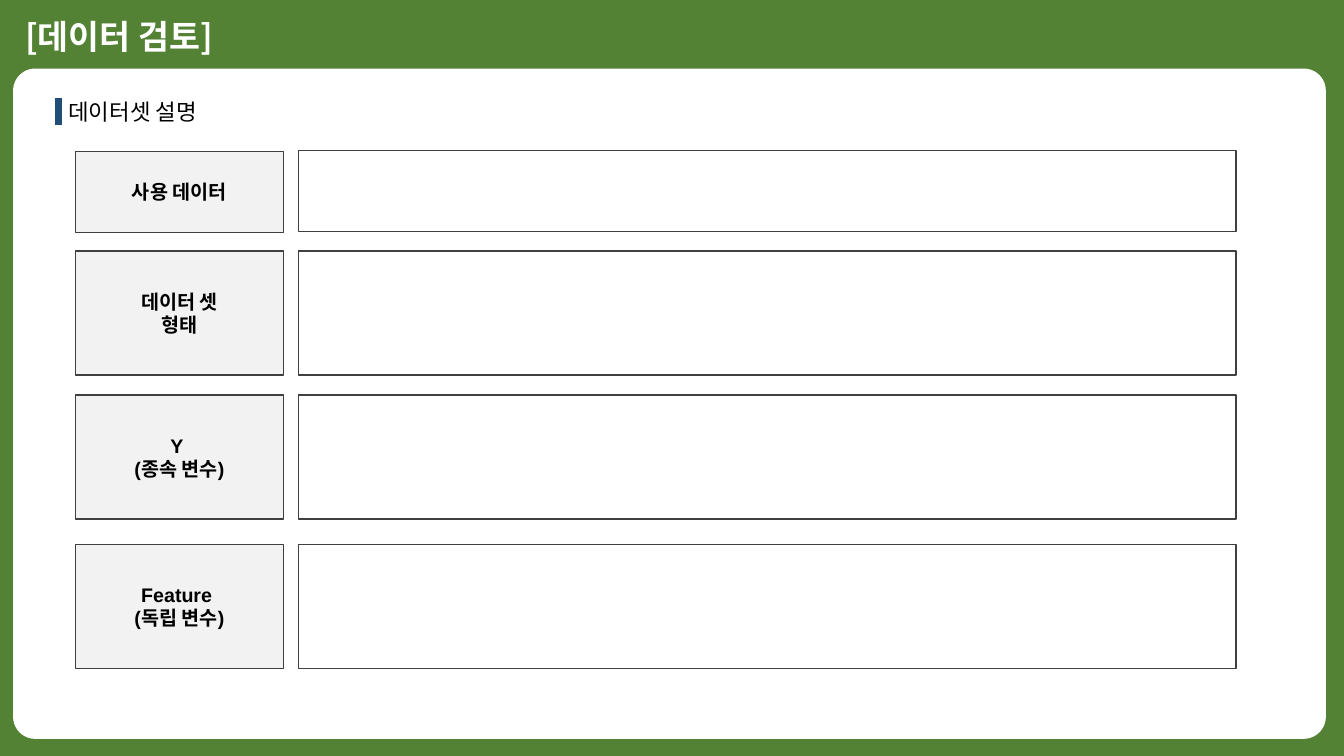
import pptx
import pptx.util
import pptx.dml.color
import pptx.enum.shapes
import pptx.enum.text
import pptx.oxml
import pptx.oxml.ns

Inches = pptx.util.Inches
RGBColor = pptx.dml.color.RGBColor
ANCHOR = pptx.enum.text.MSO_ANCHOR
ALIGN = pptx.enum.text.PP_ALIGN
SHAPE = pptx.enum.shapes.MSO_SHAPE

GREEN = RGBColor(0x54, 0x82, 0x35)
WHITE = RGBColor(0xFF, 0xFF, 0xFF)
BLACK = RGBColor(0x00, 0x00, 0x00)
LIGHT_GRAY = RGBColor(0xF2, 0xF2, 0xF2)
DARK_GRAY = RGBColor(0x40, 0x40, 0x40)
NAVY = RGBColor(0x1F, 0x4E, 0x79)

KOREAN_FONT = "Noto Sans CJK KR"
LATIN_FONT = "Arial"

LABEL_LEFT, LABEL_WIDTH = 0.75, 2.06
CONTENT_LEFT, CONTENT_WIDTH = 2.96, 9.3
ROWS = [
    ("사용 데이터", 1.5, 1.49, 0.81),
    ("데이터 셋\n형태", 2.49, 2.49, 1.23),
    ("Y \n(종속 변수)", 3.92, 3.92, 1.23),
    ("Feature \n(독립 변수)", 5.4, 5.4, 1.23),
]


def write_text(frame, text, size, color, latin=LATIN_FONT, bold=False,
               align=ALIGN.LEFT, anchor=ANCHOR.MIDDLE):
    frame.text = text
    frame.word_wrap = True
    frame.auto_size = pptx.enum.text.MSO_AUTO_SIZE.NONE
    frame.vertical_anchor = anchor
    for paragraph in frame.paragraphs:
        paragraph.alignment = align
        for run in paragraph.runs:
            run.font.size = pptx.util.Pt(size)
            run.font.bold = bold
            run.font.name = latin
            run.font.color.rgb = color
            east_asian = pptx.oxml.ns.qn("a:ea")
            run.font._element.find(pptx.oxml.ns.qn("a:latin")).addnext(
                run.font._element.makeelement(east_asian, {"typeface": KOREAN_FONT}))


def add_box(slide, kind, left, top, width, height, fill, outline=None):
    box = slide.shapes.add_shape(kind, Inches(left), Inches(top),
                                 Inches(width), Inches(height))
    box.shadow.inherit = False
    box.fill.solid()
    box.fill.fore_color.rgb = fill
    if outline is None:
        box.line.fill.background()
    else:
        box.line.color.rgb = outline
        box.line.width = pptx.util.Pt(1)
    return box


def add_title(slide, text):
    title = slide.shapes.title
    title.left, title.top = Inches(0.15), Inches(0.11)
    title.width, title.height = Inches(5.55), Inches(0.5)
    write_text(title.text_frame, text, 24, WHITE, KOREAN_FONT, True,
               anchor=ANCHOR.TOP)


def add_heading(slide, text):
    heading = slide.shapes.add_textbox(Inches(0.58), Inches(0.94),
                                       Inches(9.51), Inches(0.34))
    write_text(heading.text_frame, text, 16, BLACK)
    marker = slide.shapes.add_connector(
        pptx.enum.shapes.MSO_CONNECTOR.STRAIGHT,
        Inches(0.58), Inches(0.97), Inches(0.58), Inches(1.24))
    marker.line.color.rgb = NAVY
    marker.line.width = pptx.util.Pt(4.5)
    properties = marker._element.spPr
    properties.append(properties.makeelement(pptx.oxml.ns.qn("a:effectLst"), {}))


def add_row(slide, text, label_top, content_top, height):
    label = add_box(slide, SHAPE.RECTANGLE, LABEL_LEFT, label_top,
                    LABEL_WIDTH, height, LIGHT_GRAY, DARK_GRAY)
    write_text(label.text_frame, text, 14, BLACK, bold=True, align=ALIGN.CENTER)
    add_box(slide, SHAPE.RECTANGLE, CONTENT_LEFT, content_top,
            CONTENT_WIDTH, height, WHITE, DARK_GRAY)


def main():
    presentation = pptx.Presentation()
    presentation.slide_width = Inches(13.33)
    presentation.slide_height = Inches(7.5)
    slide = presentation.slides.add_slide(presentation.slide_layouts[5])
    slide.background.fill.solid()
    slide.background.fill.fore_color.rgb = GREEN

    add_title(slide, "[데이터 검토]")
    panel = add_box(slide, SHAPE.ROUNDED_RECTANGLE, 0.13, 0.68, 13.02, 6.65, WHITE)
    panel.adjustments[0] = 0.033
    add_heading(slide, "데이터셋 설명")
    for row in ROWS:
        add_row(slide, *row)

    presentation.save("out.pptx")


main()
